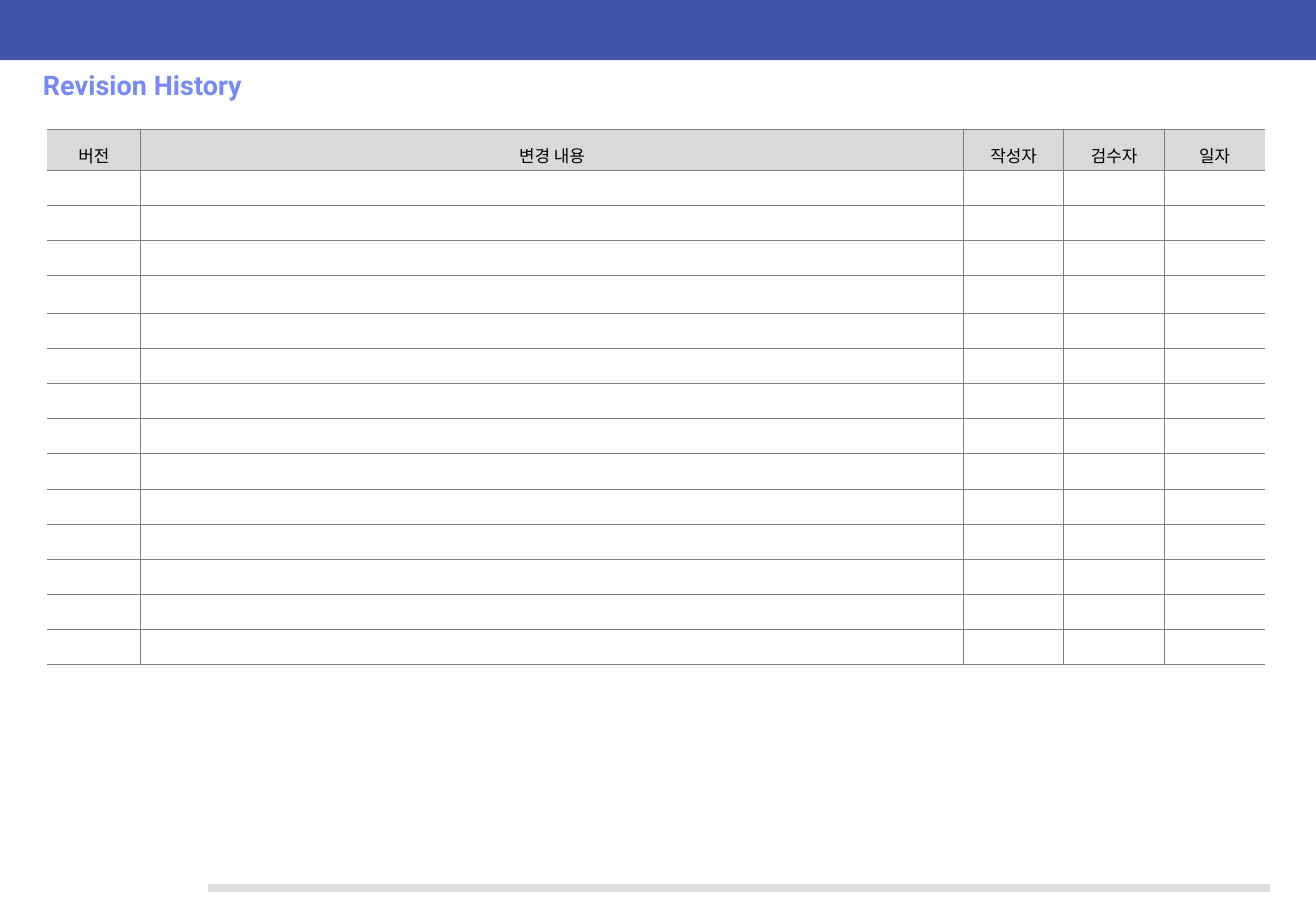
import pptx
import pptx.util
import pptx.dml.color
import pptx.enum.shapes
import pptx.enum.text
import pptx.oxml.ns
import lxml.etree

Pt = pptx.util.Pt
qn = pptx.oxml.ns.qn

TITLE = "Revision History"
HEADS = ["버전", "변경 내용", "작성자", "검수자", "일자"]
WIDTHS = [55.5, 488, 59.6, 59.6, 59.6]
ROWS = 15
ROW_HIGH = 20.83
ODD_HIGHS = {0: 24.4, 4: 22.5}
PAGE = (780.48, 540)
COLORS = {
    "band": "4156A6", "title": "7889FB", "foot": "DDDDDD",
    "head": "D9D9D9", "grid": "7F7F7F", "text": "000000",
}


def color(name):
    return pptx.dml.color.RGBColor.from_string(COLORS[name])


def add(parent, tag, **attrs):
    return lxml.etree.SubElement(parent, qn(tag), attrs)


def style(para, face, size, tint):
    para.font.size = Pt(size)
    para.font.color.rgb = color(tint)
    para.font.name = face


def edge(cell, place, side, shown):
    """Put one border at its place among the cell properties."""
    props = cell._tc.get_or_add_tcPr()
    line = add(props, f"a:ln{side}", w=str(Pt(0.5)))
    if shown:
        fill = add(line, "a:solidFill")
        add(fill, "a:srgbClr", val=COLORS["grid"])
    else:
        add(line, "a:noFill")
    props.insert(place, line)


def add_frame(slide):
    """Draw the top band and the rule at the foot."""
    band = slide.shapes.add_shape(
        pptx.enum.shapes.MSO_SHAPE.RECTANGLE, 0, 0, Pt(PAGE[0]), Pt(35.7))
    band.shadow.inherit = False
    band.fill.solid()
    band.fill.fore_color.rgb = color("band")
    band.line.fill.background()

    rule = slide.shapes.add_connector(
        pptx.enum.shapes.MSO_CONNECTOR.STRAIGHT,
        Pt(123.6), Pt(526.4), Pt(753.2), Pt(526.4))
    rule.line.color.rgb = color("foot")
    rule.line.width = Pt(4.5)
    add(rule._element.spPr, "a:effectLst")


def add_title(slide):
    frame = slide.shapes.add_textbox(
        Pt(25.5), Pt(37.4), Pt(283.7), Pt(28.1)).text_frame
    frame.word_wrap = True
    frame.vertical_anchor = pptx.enum.text.MSO_ANCHOR.MIDDLE
    frame.margin_left = frame.margin_right = 0
    frame.margin_top = frame.margin_bottom = 0
    para = frame.paragraphs[0]
    para.text = TITLE
    para.line_spacing = 0.9
    style(para, "Roboto", 16, "title")
    para.font.bold = True
    para.runs[0].font._element.set("spc", "6")


def fill_cell(cell, row, col):
    cell.margin_left = cell.margin_right = Pt(2.2)
    cell.margin_top = cell.margin_bottom = Pt(1.4)
    cell.vertical_anchor = pptx.enum.text.MSO_ANCHOR.MIDDLE
    para = cell.text_frame.paragraphs[0]
    if row == 0:
        cell.fill.solid()
        cell.fill.fore_color.rgb = color("head")
        para.text = HEADS[col]
        para.alignment = pptx.enum.text.PP_ALIGN.CENTER
        para.line_spacing = 1.5
        face = "Noto Sans CJK KR"
        style(para, face, 10, "text")
        add(para.font._element, "a:ea", typeface=face)
    else:
        cell.fill.background()
        add(para._p, "a:endParaRPr", sz="800")
    shown = {"L": col > 0, "R": col < len(HEADS) - 1, "T": True, "B": True}
    for place, side in enumerate(shown):
        edge(cell, place, side, shown[side])


def add_grid(slide):
    highs = [ODD_HIGHS.get(row, ROW_HIGH) for row in range(ROWS)]
    table = slide.shapes.add_table(
        ROWS, len(HEADS), Pt(27.9), Pt(76.5),
        Pt(sum(WIDTHS)), Pt(sum(highs))).table
    table.first_row = table.horz_banding = False
    for col, wide in enumerate(WIDTHS):
        table.columns[col].width = Pt(wide)
    for row, high in enumerate(highs):
        table.rows[row].height = Pt(high)
        for col in range(len(HEADS)):
            fill_cell(table.cell(row, col), row, col)


def main():
    deck = pptx.Presentation()
    deck.slide_width, deck.slide_height = map(Pt, PAGE)
    slide = deck.slides.add_slide(deck.slide_layouts[6])
    add_frame(slide)
    add_title(slide)
    add_grid(slide)
    deck.save("out.pptx")


if __name__ == "__main__":
    main()
